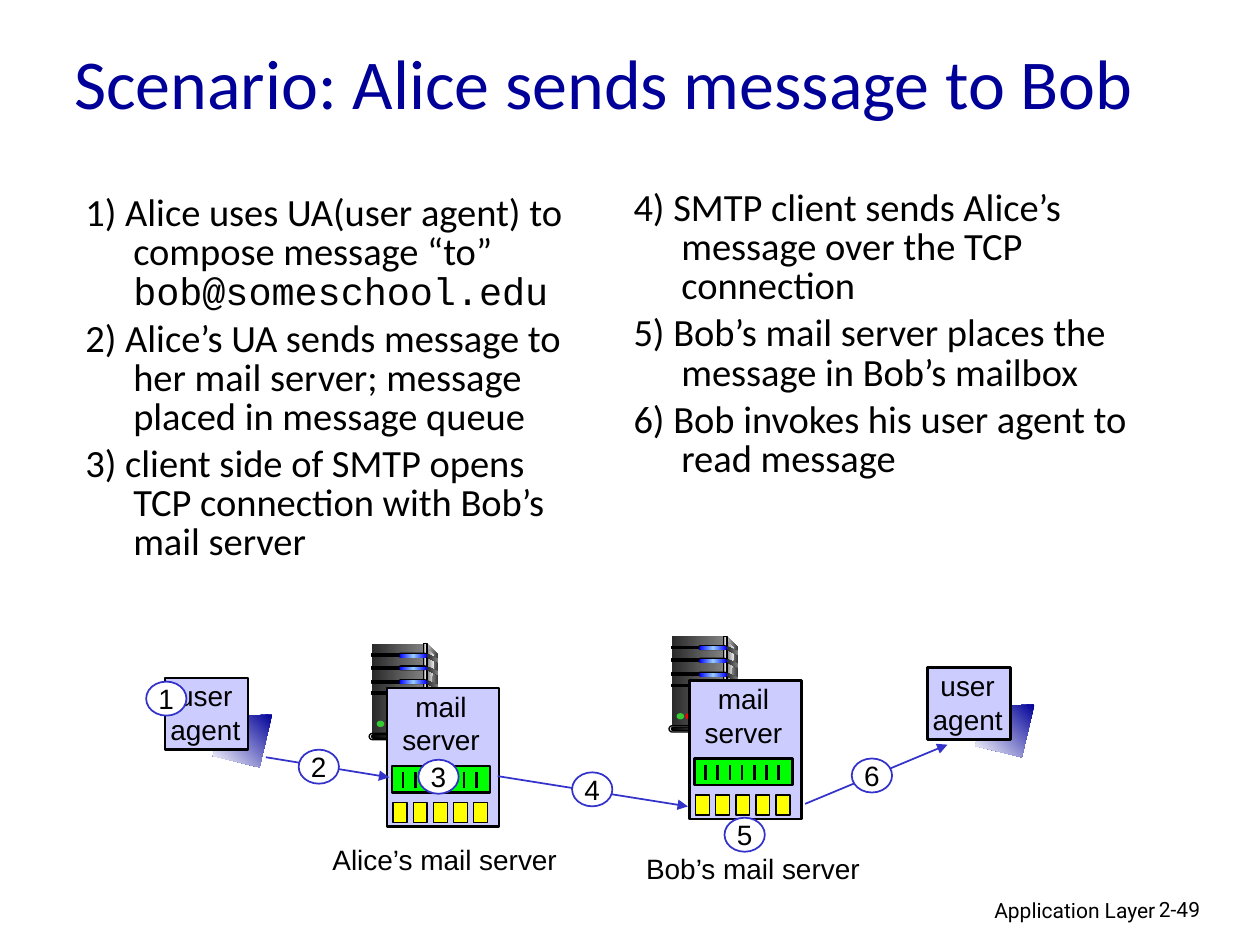
from lxml import etree
from pptx import Presentation
from pptx.dml.color import RGBColor
from pptx.enum import shapes, text
from pptx.oxml.ns import qn
from pptx.util import Inches, Pt

RECT = shapes.MSO_SHAPE.RECTANGLE
PILL = shapes.MSO_SHAPE.ROUNDED_RECTANGLE
OVAL = shapes.MSO_SHAPE.OVAL
LEFT, CENTER, RIGHT = text.PP_ALIGN.LEFT, text.PP_ALIGN.CENTER, text.PP_ALIGN.RIGHT
BLACK, LILAC, BLUE, NAVY = "000000", "CCCCFF", "3333CC", "000099"
STEEL = ["292929", "808080"]
GLOW = ["0000FF", "99CCFF", "0000FF"]


def color(value):
    return RGBColor.from_string(value)


def paint(sp, fill, line=None, weight=0.75, angle=0):
    sp.shadow.inherit = False
    if isinstance(fill, str):
        sp.fill.solid()
        sp.fill.fore_color.rgb = color(fill)
    else:
        sp.fill.gradient()
        sp.fill.gradient_angle = angle
        stops = sp._element.spPr.find(".//" + qn("a:gsLst"))
        for stop in list(stops):
            stops.remove(stop)
        for i, value in enumerate(fill):
            position = str(100000 * i // (len(fill) - 1))
            stop = etree.SubElement(stops, qn("a:gs"), pos=position)
            etree.SubElement(stop, qn("a:srgbClr"), val=value)
    if line:
        sp.line.color.rgb = color(line)
        sp.line.width = Pt(weight)
    else:
        sp.line.fill.background()


def add_shape(s, kind, x, y, w, h, fill, line=None, weight=0.75):
    sp = s.shapes.add_shape(kind, Inches(x), Inches(y), Inches(w), Inches(h))
    if kind == PILL:
        sp.adjustments[0] = 0.5
    paint(sp, fill, line, weight)
    return sp


def add_polygon(s, x, y, points, fill, angle=0):
    points = [(Inches(x + dx), Inches(y + dy)) for dx, dy in points]
    builder = s.shapes.build_freeform(*points[0])
    builder.add_line_segments(points[1:], close=True)
    paint(builder.convert_to_shape(), fill, angle=angle)


def add_line(s, x1, y1, x2, y2, line, weight, arrow=False):
    cxn = s.shapes.add_connector(shapes.MSO_CONNECTOR.STRAIGHT,
                                 Inches(x1), Inches(y1), Inches(x2), Inches(y2))
    cxn.line.color.rgb = color(line)
    cxn.line.width = Pt(weight)
    if arrow:
        etree.SubElement(cxn.line._get_or_add_ln(), qn("a:tailEnd"), type="triangle")
    etree.SubElement(cxn._element.spPr, qn("a:effectLst"))


def style(tf, size, name, ink=BLACK, align=LEFT):
    for p in tf.paragraphs:
        p.alignment = align
        for r in p.runs:
            r.font.size = Pt(size)
            r.font.name = name
            r.font.color.rgb = color(ink)


def add_text(s, x, y, w, h, words, size=16, name="Arial", ink=BLACK, align=LEFT, wrap=False):
    box = s.shapes.add_textbox(Inches(x), Inches(y), Inches(w), Inches(h))
    tf = box.text_frame
    tf.word_wrap = wrap
    tf.text = words
    style(tf, size, name, ink, align)
    return tf


def add_steps(s, x, y, w, h, steps, address=None):
    tf = add_text(s, x, y, w, h, "\n".join(steps), 22, "Calibri", wrap=True)
    for i, p in enumerate(tf.paragraphs):
        p.line_spacing = 0.85
        if i:
            p.space_before = Pt(4.4)
        pPr = p._p.get_or_add_pPr()
        pPr.set("marL", str(Inches(0.38)))
        pPr.set("indent", str(-Inches(0.38)))
    if address:
        r = tf.paragraphs[0].add_run()
        r.text = address
        r.font.size = Pt(22)
        r.font.name = "Courier New"
        r.font.color.rgb = color(BLACK)


def add_user_agent(s, x, y):
    corners = [(0.85, 0.29), (0.45, 0.31), (0.38, 0.62), (0.75, 0.71)]
    add_polygon(s, x, y, corners, [NAVY, "FFFFFF"], angle=225)
    add_shape(s, RECT, x, y, 0.66, 0.57, LILAC, BLACK, 1.5)
    add_text(s, x - 0.06, y - 0.04, 0.76, 0.64, "user\nagent", align=CENTER)


def add_tower(s, x, y):
    side = [(0.46, 0), (0.55, 0.09), (0.55, 0.69), (0.44, 0.72)]
    add_polygon(s, x, y, side, ["DDDDDD", "333333"])
    add_shape(s, RECT, x + 0.02, y, 0.41, 0.72, STEEL)
    sheen = [(0.46, 0.04), (0.52, 0.1), (0.48, 0.4), (0.46, 0.71)]
    add_polygon(s, x, y, sheen, ["808080", "F8F8F8"])
    for dy in (0.08, 0.18, 0.29, 0.38):
        add_shape(s, RECT, x + 0.02, y + dy, 0.23, 0.02, BLACK, BLACK)
    add_shape(s, RECT, x + 0.43, y, 0.03, 0.72, ["333333", "DDDDDD", "333333"], BLACK)
    for dy in (0.08, 0.18, 0.29):
        add_shape(s, PILL, x + 0.23, y + dy - 0.01, 0.23, 0.04, BLACK)
        add_shape(s, PILL, x + 0.24, y + dy, 0.22, 0.03, GLOW)
        vent = [(0.46, 0), (0.55, 0.04), (0.55, 0.07), (0.46, 0.03)]
        add_polygon(s, x, y + dy, vent, STEEL)
    add_shape(s, PILL, x, y + 0.71, 0.47, 0.05, "DDDDDD", BLACK)
    add_shape(s, PILL, x + 0.02, y + 0.72, 0.42, 0.03, [BLACK, "808080"], BLACK)
    for dx, light in ((0.06, "33CC33"), (0.13, "FF0000")):
        add_shape(s, OVAL, x + dx, y + 0.61, 0.06, 0.05, light)


def add_mail_server(s, x, y):
    add_shape(s, RECT, x, y, 0.89, 1.1, LILAC, BLACK, 1.5)
    add_text(s, x + 0.02, y - 0.04, 0.82, 0.64, "mail\nserver", align=CENTER)
    add_shape(s, RECT, x + 0.04, y + 0.62, 0.78, 0.21, "00FF00", BLACK, 1.5)
    for i in range(7):
        tick = x + 0.13 + i * 0.58 / 6
        add_line(s, tick, y + 0.67, tick, y + 0.79, BLACK, 1.5)
    for i in range(5):
        add_shape(s, RECT, x + 0.05 + 0.16 * i, y + 0.91, 0.11, 0.16, "FFFF00", BLACK)


def add_badge(s, x, y, number):
    sp = add_shape(s, OVAL, x, y, 0.32, 0.27, "FFFFFF", BLUE, 1)
    tf = sp.text_frame
    tf.word_wrap = False
    tf.vertical_anchor = text.MSO_ANCHOR.MIDDLE
    tf.text = str(number)
    style(tf, 16, "Arial", align=CENTER)


def add_mail_route(s):
    add_user_agent(s, 1.31, 5.38)
    add_tower(s, 5.31, 5.05)
    add_tower(s, 2.93, 5.11)
    add_mail_server(s, 3.07, 5.46)
    add_mail_server(s, 5.47, 5.4)
    for hop in ((2.11, 6.01, 3.09, 6.17), (3.95, 6.16, 5.46, 6.4), (6.39, 6.38, 7.52, 5.91)):
        add_line(s, *hop, BLUE, 1, arrow=True)
    badges = [(1.16, 5.41), (2.37, 5.95), (3.32, 6.03), (4.54, 6.13), (5.75, 6.49), (6.76, 6.02)]
    for number, (x, y) in enumerate(badges, 1):
        add_badge(s, x, y, number)
    add_text(s, 2.54, 6.64, 1.99, 0.37, "Alice’s mail server")
    add_text(s, 5.03, 6.71, 1.9, 0.37, "Bob’s mail server")
    add_user_agent(s, 7.36, 5.3)


def add_footer(s):
    add_text(s, 6.1, 7.07, 3.17, 0.31, "Application Layer", 12, "Roboto", align=RIGHT, wrap=True)
    add_text(s, 9.1, 7.07, 0.74, 0.3, "2-49", 12, "Roboto", wrap=True)


def main():
    prs = Presentation()
    prs.slide_width, prs.slide_height = Inches(10), Inches(7.5)
    s = prs.slides.add_slide(prs.slide_layouts[6])
    add_footer(s)
    title = add_text(s, 0.49, 0.02, 9.01, 1.25, "Scenario: Alice sends message to Bob",
                     40, "Calibri", NAVY, wrap=True)
    title.vertical_anchor = text.MSO_ANCHOR.MIDDLE
    add_steps(s, 0.58, 1.5, 4.17, 3.52, [
        "1) Alice uses UA(user agent) to compose message “to” ",
        "2) Alice’s UA sends message to her mail server; message placed in message queue",
        "3) client side of SMTP opens TCP connection with Bob’s mail server",
    ], "bob@someschool.edu")
    add_steps(s, 4.93, 1.46, 4.17, 3.57, [
        "4) SMTP client sends Alice’s message over the TCP connection",
        "5) Bob’s mail server places the message in Bob’s mailbox",
        "6) Bob invokes his user agent to read message",
    ])
    add_mail_route(s)
    prs.save("out.pptx")


if __name__ == "__main__":
    main()
